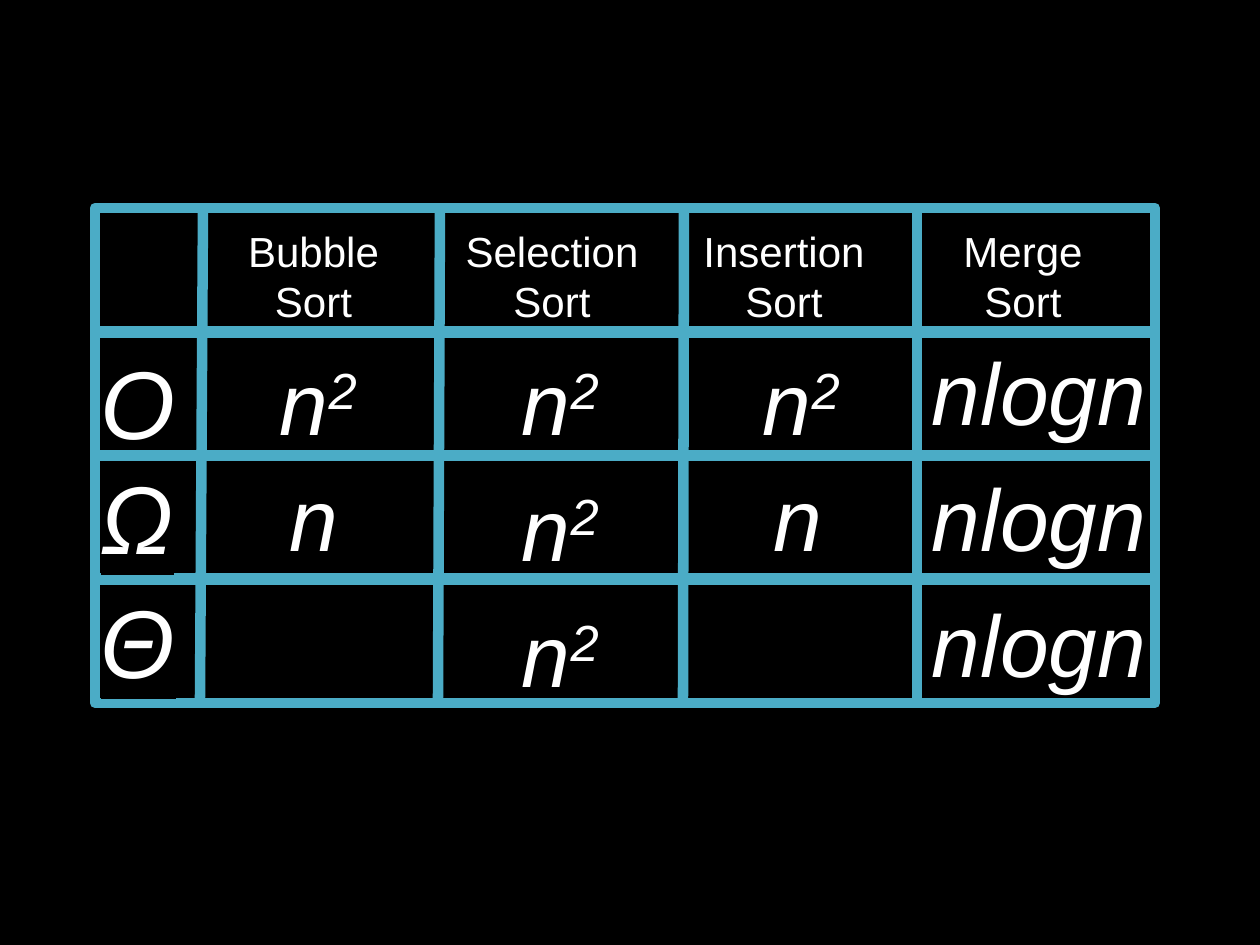
from dataclasses import dataclass

from lxml import etree
from pptx import Presentation
from pptx.dml.color import RGBColor
from pptx.enum.shapes import MSO_CONNECTOR, MSO_SHAPE
from pptx.enum.text import MSO_ANCHOR, PP_ALIGN
from pptx.oxml.ns import qn
from pptx.util import Pt

RECT = MSO_SHAPE.RECTANGLE
LINE = MSO_CONNECTOR.STRAIGHT
MIDDLE = MSO_ANCHOR.MIDDLE
LEFT, CENTER = PP_ALIGN.LEFT, PP_ALIGN.CENTER
SCALE = 914400 / 126


def px(size):
    return round(size * SCALE)


@dataclass(frozen=True)
class Theme:
    back: str = "000000"
    ink: str = "FFFFFF"
    grid: str = "4BACC6"
    font: str = "Arial"
    head: int = 24
    cost: int = 50
    bound: int = 55
    rule: int = 6


class Board:
    def __init__(self, slide, theme):
        self.slide, self.theme = slide, theme
        fill = slide.background.fill
        fill.solid()
        fill.fore_color.rgb = RGBColor.from_string(theme.back)

    def edge(self, line):
        line.color.rgb = RGBColor.from_string(self.theme.grid)
        line.width = Pt(self.theme.rule)

    def box(self, x, y, w, h):
        shape = self.slide.shapes.add_shape(RECT, px(x), px(y), px(w), px(h))
        shape.shadow.inherit = False
        shape.fill.background()
        self.edge(shape.line)

    def rule(self, x1, y1, x2, y2):
        line = self.slide.shapes.add_connector(LINE, px(x1), px(y1), px(x2), px(y2))
        self.edge(line.line)
        etree.SubElement(line.element.spPr, qn("a:effectLst"))

    def text(self, x, y, w, size, words, align=LEFT, italic=True, mark=False):
        """Add a text box; a ^ in the words starts a raised run."""
        frame = self.slide.shapes.add_textbox(px(x), px(y), px(w), px(202)).text_frame
        frame.word_wrap = True
        frame.vertical_anchor = MIDDLE
        frame.margin_left = frame.margin_right = px(13)
        frame.margin_top = frame.margin_bottom = px(13)
        para = frame.paragraphs[0]
        para.alignment = align
        for i, part in enumerate(words.split("^")):
            run = para.add_run()
            run.text = part
            font = run.font
            font.name, font.size, font.italic = self.theme.font, Pt(size), italic
            font.color.rgb = RGBColor.from_string(self.theme.ink)
            props = run._r.get_or_add_rPr()
            if i:
                props.set("baseline", "30000")
            if mark:
                light = etree.Element(qn("a:highlight"))
                etree.SubElement(light, qn("a:srgbClr"), val=self.theme.back)
                props.find(qn("a:solidFill")).addnext(light)


def main():
    deck = Presentation()
    deck.slide_width, deck.slide_height = px(1260), px(945)
    theme = Theme()
    board = Board(deck.slides.add_slide(deck.slide_layouts[6]), theme)

    for row in range(4):
        board.box(95, 208 + row * 247 // 2, 1060, 125)
    for top, foot in ((203, 200), (440, 438), (684, 683), (917, 917)):
        board.rule(top, 208, foot, 702)

    heads = (("Bubble Sort", 198, 231), ("Selection Sort", 421, 262),
             ("Insertion Sort", 653, 262), ("Merge Sort", 916, 214))
    for name, x, w in heads:
        board.text(x, 175, w, theme.head, name, CENTER, italic=False)

    for sign, y, mark in (("O", 300, False), ("Ω", 415, True), ("Θ", 539, True)):
        board.text(88, y, 170, theme.bound, sign, mark=mark)

    # Each column: left of its text, then the row and wording of each cost.
    for x in (267, 750):
        board.text(x, 300, 276, theme.cost, "n^2")
        board.text(x + 10, 416, 117, theme.cost, "n")
    for row in range(3):
        board.text(509, 300 + row * 126, 276, theme.cost, "n^2")
        board.text(919, 290 + row * 126, 276, theme.cost, "nlogn")

    deck.save("out.pptx")


if __name__ == "__main__":
    main()
